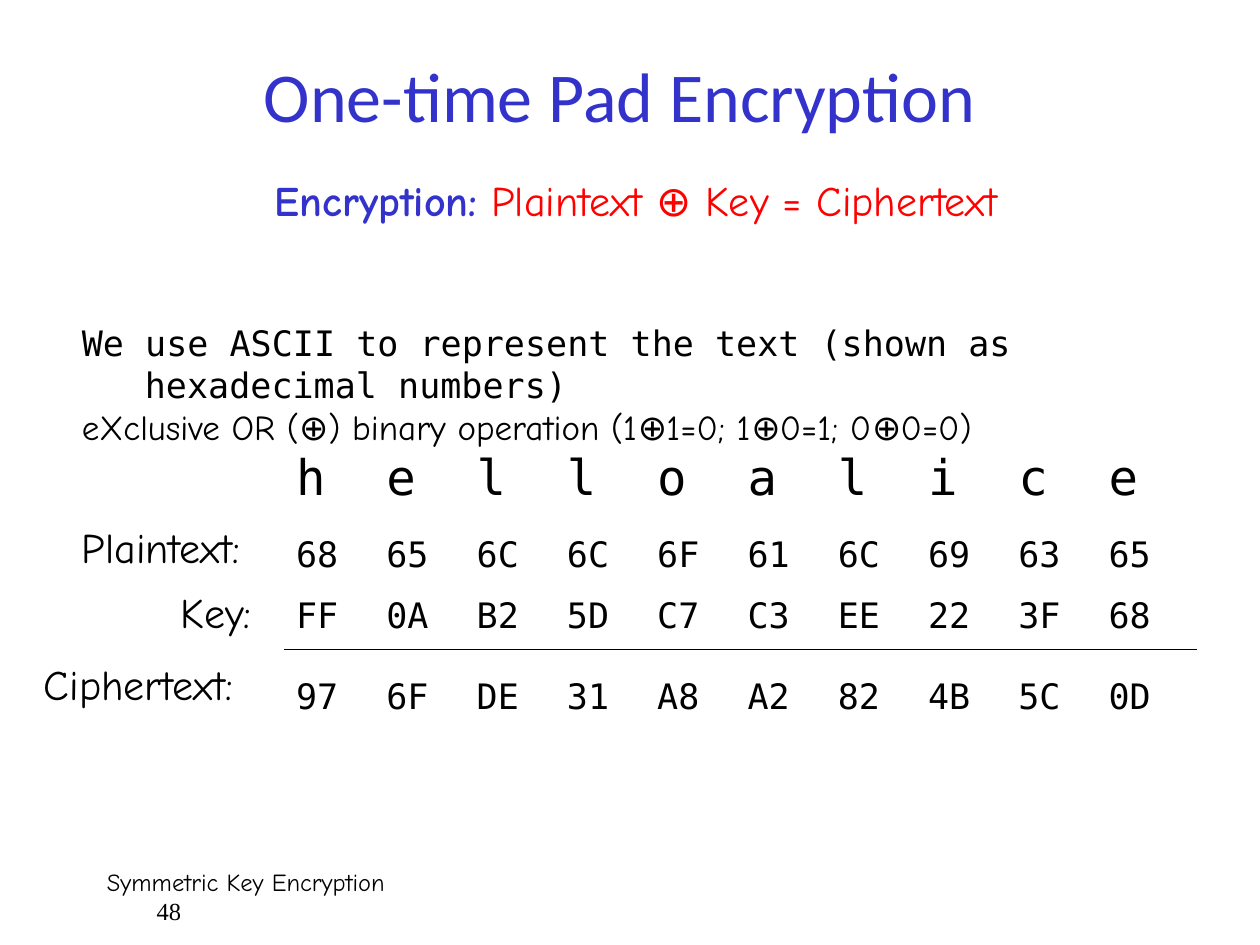
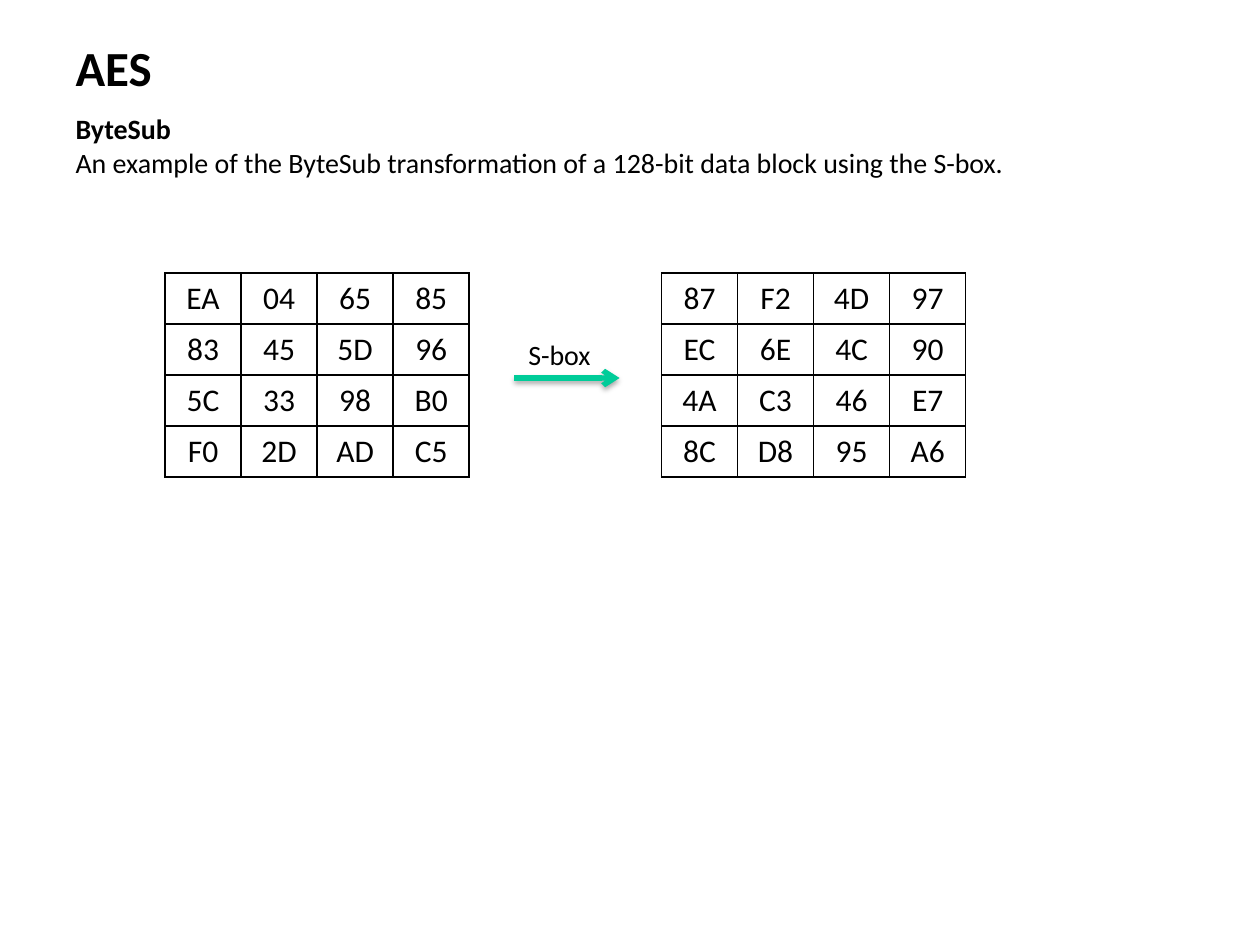
from lxml.etree import SubElement
from pptx import Presentation
from pptx.dml.color import RGBColor
from pptx.enum.shapes import MSO_CONNECTOR
from pptx.enum.text import MSO_ANCHOR, MSO_AUTO_SIZE, PP_ALIGN
from pptx.oxml import parse_xml
from pptx.oxml.ns import nsdecls, qn
from pptx.util import Inches, Pt

BLACK = RGBColor(0x00, 0x00, 0x00)
BLUE = RGBColor(0x33, 0x33, 0xCC)
RED = RGBColor(0xFF, 0x00, 0x00)
GREEN = RGBColor(0x00, 0xCC, 0x99)
SANS, COMIC, MONO, SERIF = "Calibri", "Comic Neue", "DejaVu Sans Mono", "Times New Roman"

presentation = Presentation()
presentation.slide_width, presentation.slide_height = Inches(10), Inches(7.5)

# Grid of 40 columns and 30 rows
COLUMN = presentation.slide_width // 40
ROW = presentation.slide_height // 30


def area(left, top, width, height):
    """Turn grid units into left, top, width and height."""
    return int(left * COLUMN), int(top * ROW), int(width * COLUMN), int(height * ROW)


def write(frame, text, font=SANS, size=20, color=BLACK, bold=False,
          align=PP_ALIGN.LEFT, margin=0, indent=0, same_line=False):
    """Add text as a new paragraph, or as a run of the last one."""
    paragraph = frame.paragraphs[-1]
    if paragraph.runs and not same_line:
        paragraph = frame.add_paragraph()
    if not same_line:
        paragraph.alignment = align
        paragraph.space_before = Pt(0)
        properties = paragraph._p.get_or_add_pPr()
        properties.set("marL", str(int(margin * COLUMN)))
        properties.set("indent", str(int(indent * COLUMN)))
        SubElement(properties, qn("a:buNone"))
    run = paragraph.add_run()
    run.text = text
    run.font.name, run.font.size, run.font.bold = font, Pt(size), bold
    run.font.color.rgb = color


# Slides with a title and a body
layout = presentation.slide_layouts[1]
pad_slide = presentation.slides.add_slide(layout)
aes_slide = presentation.slides.add_slide(layout)

for slide, title_area, body_area in [
    (pad_slide, area(2.67, 1.34, 34, 3.34), area(2.2, 10, 35.8, 4.2)),
    (aes_slide, area(2, 0.98, 36, 2.27), area(2, 3.34, 38, 2.56)),
]:
    for shape, place in zip(slide.placeholders, (title_area, body_area)):
        shape.left, shape.top, shape.width, shape.height = place
        shape.text_frame.auto_size = MSO_AUTO_SIZE.NONE

write(pad_slide.shapes.title.text_frame, "One-time Pad Encryption",
      size=40, color=BLUE, align=PP_ALIGN.CENTER)
write(aes_slide.shapes.title.text_frame, "AES", size=28, bold=True)

notes = pad_slide.placeholders[1].text_frame
write(notes, "We use ASCII to represent the text (shown as hexadecimal numbers)",
      font=MONO, margin=2, indent=-2)
write(notes, "eXclusive OR (⊕) binary operation (1⊕1=0; 1⊕0=1; 0⊕0=0)",
      font=COMIC, margin=2, indent=-2)

summary = aes_slide.placeholders[1].text_frame
write(summary, "ByteSub", size=16, bold=True)
write(summary, "An example of the ByteSub transformation of a 128-bit data block using the S-box.",
      size=16)

# Tables: slide, left, top, width, row height, bordered, rows of values
PAD_WIDTH, PAD_ROW = 28.67, 2.57
BLOCK_WIDTH, BLOCK_ROW = 9.66, 1.62
tables = [
    (pad_slide, 9, 14.04, PAD_WIDTH, PAD_ROW, False,
     ["h e l l o a l i c e", "68 65 6C 6C 6F 61 6C 69 63 65"]),
    (pad_slide, 9, 18.28, PAD_WIDTH, PAD_ROW, False,
     ["FF 0A B2 5D C7 C3 EE 22 3F 68", "97 6F DE 31 A8 A2 82 4B 5C 0D", ""]),
    (aes_slide, 5.24, 8.66, BLOCK_WIDTH, BLOCK_ROW, True,
     ["EA 04 65 85", "83 45 5D 96", "5C 33 98 B0", "F0 2D AD C5"]),
    (aes_slide, 21, 8.66, BLOCK_WIDTH, BLOCK_ROW, True,
     ["87 F2 4D 97", "EC 6E 4C 90", "4A C3 46 E7", "8C D8 95 A6"]),
]
for slide, left, top, width, row_height, bordered, rows in tables:
    values = [row.split() for row in rows]
    place = area(left, top, width, row_height * len(values))
    table = slide.shapes.add_table(len(values), len(values[0]), *place).table
    table.first_row = table.horz_banding = False
    border_fill = (f'<a:solidFill><a:srgbClr val="{BLACK}"/></a:solidFill>'
                   if bordered else "<a:noFill/>")
    for row, row_values in zip(table.rows, values):
        is_letters = "h" in row_values
        row.height = int((2.32 if is_letters else row_height) * ROW)
        for cell in row.cells:
            cell.fill.background()
            for position, side in enumerate(("lnL", "lnR", "lnT", "lnB")):
                cell._tc.get_or_add_tcPr().insert(position, parse_xml(
                    f'<a:{side} {nsdecls("a")} w="{Pt(1)}">{border_fill}</a:{side}>'))
        for cell, value in zip(row.cells, row_values):
            if bordered:
                write(cell.text_frame, value, size=18, align=PP_ALIGN.CENTER)
            else:
                cell.vertical_anchor = MSO_ANCHOR.MIDDLE
                write(cell.text_frame, value, font=MONO, size=28 if is_letters else 20)

# Rule above the ciphertext and arrow through the S-box
for slide, start, end, height, color, width in [
    (pad_slide, 9, 38, 20.63, BLACK, 0.75),
    (aes_slide, 16.32, 19.67, 12, GREEN, 3),
]:
    y = int(height * ROW)
    line = slide.shapes.add_connector(
        MSO_CONNECTOR.STRAIGHT, int(start * COLUMN), y, int(end * COLUMN), y)
    line.line.color.rgb, line.line.width = color, Pt(width)
    effects = SubElement(line._element.spPr, qn("a:effectLst"))

# The arrow, last drawn, gets its head and soft shadow
SubElement(line.line._get_or_add_ln(), qn("a:tailEnd"), type="arrow")
effects.append(parse_xml(
    f'<a:outerShdw {nsdecls("a")} blurRad="{Pt(3.1)}" dist="{Pt(1.8)}" dir="5400000" '
    f'rotWithShape="0"><a:srgbClr val="{BLACK}"><a:alpha val="35000"/></a:srgbClr></a:outerShdw>'))

# Single-line labels
labels = [
    (pad_slide, "Encryption:", area(8.33, 5.34, 26.4, 2.28),
     dict(font=COMIC, size=24, color=BLUE, bold=True)),
    (pad_slide, "Plaintext:", area(2.2, 16.36, 6.8, 2.28), dict(font=COMIC, size=24)),
    (pad_slide, "Key:", area(5.34, 18.42, 3.44, 2.28), dict(font=COMIC, size=24)),
    (pad_slide, "Ciphertext:", area(1, 20.7, 8, 2.28), dict(font=COMIC, size=24)),
    (aes_slide, "S-box", area(16.36, 10.52, 2.8, 1.48),
     dict(size=16, align=PP_ALIGN.CENTER)),
]
for slide, text, place, text_format in labels:
    frame = slide.shapes.add_textbox(*place).text_frame
    frame.word_wrap = False
    frame.auto_size = MSO_AUTO_SIZE.SHAPE_TO_FIT_TEXT
    write(frame, text, **text_format)
    if text == "Encryption:":
        write(frame, " Plaintext ⊕ Key = Ciphertext", font=COMIC, size=24,
              color=RED, same_line=True)

# Footer with the page number below it
footer = pad_slide.shapes.add_textbox(*area(3, 27.33, 34.32, 2)).text_frame
footer.word_wrap = True
write(footer, "Symmetric Key Encryption", font=COMIC, size=14)
write(footer, "48", font=SERIF, size=14, margin=1.58)

presentation.save("out.pptx")
